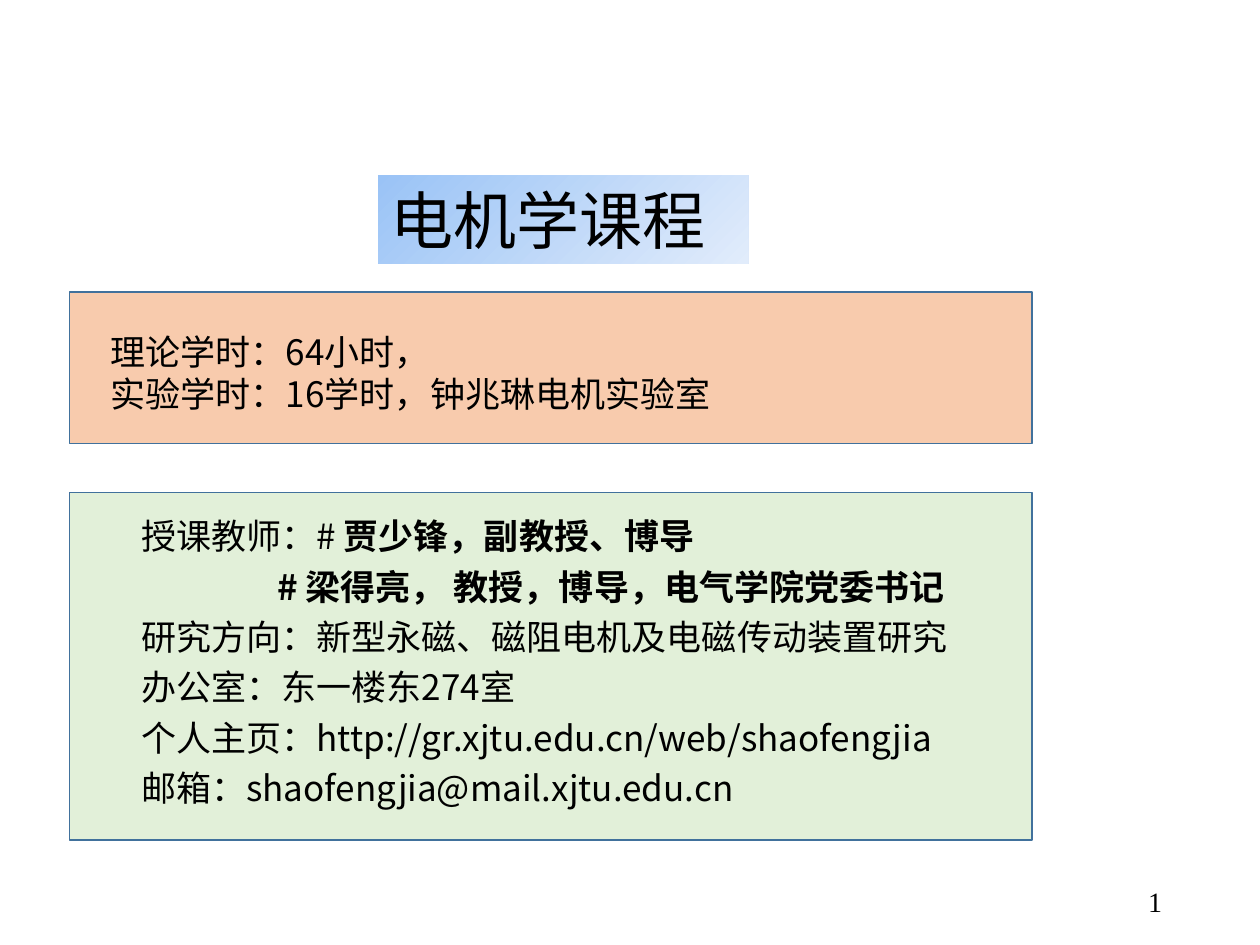
import pptx
import pptx.util
import pptx.dml.color
import pptx.enum.shapes
import pptx.enum.text
import lxml.etree
from pptx.oxml.ns import qn
from pptx.util import Cm

SANS = "Noto Sans CJK SC"


def color(value):
    return pptx.dml.color.RGBColor.from_string(value)


def write(para, text, size=20, font=SANS, bold=False, align="LEFT", spacing=1.0, indent=0):
    properties = para._p.get_or_add_pPr()
    properties.set("marL", str(Cm(indent)))
    properties.set("indent", "0")
    if properties.find(qn("a:buNone")) is None:
        lxml.etree.SubElement(properties, qn("a:buNone"))
    para.alignment = getattr(pptx.enum.text.PP_ALIGN, align)
    para.line_spacing = spacing
    para.space_before = pptx.util.Pt(0)
    span = para.add_run()
    span.text = text
    span.font.size = pptx.util.Pt(size)
    span.font.name = font
    span.font.bold = bold
    span.font.color.rgb = color("000000")
    east_asian = lxml.etree.SubElement(span._r.get_or_add_rPr(), qn("a:ea"))
    east_asian.set("typeface", font)


deck = pptx.Presentation()
deck.slide_width = Cm(25.4)
deck.slide_height = Cm(19.05)
page = deck.slides.add_slide(deck.slide_layouts[1])
title = page.shapes.title
body = page.placeholders[1]

for top, height, fill in [(9.93, 7.01, "E2F0D9"), (5.89, 3.05, "F8CBAD")]:
    panel = page.shapes.add_shape(
        pptx.enum.shapes.MSO_SHAPE.RECTANGLE, Cm(1.4), Cm(top), Cm(19.41), Cm(height))
    panel.shadow.inherit = False
    panel.fill.solid()
    panel.fill.fore_color.rgb = color(fill)
    panel.line.color.rgb = color("41719C")
    panel.line.width = pptx.util.Pt(1)

hours = page.shapes.add_textbox(0, 0, 0, 0)
number = page.shapes.add_textbox(0, 0, 0, 0)
for box, left, top, width, height, anchor in [
    (title, 7.62, 3.53, 7.47, 1.78, "TOP"),
    (hours, 1.98, 6.53, 12.95, 1.96, "TOP"),
    (body, 2.59, 10.08, 20.62, 6.35, "TOP"),
    (number, 17.96, 17.65, 5.72, 1.02, "MIDDLE"),
]:
    box.left, box.top, box.width, box.height = Cm(left), Cm(top), Cm(width), Cm(height)
    box.text_frame.word_wrap = True
    box.text_frame.auto_size = pptx.enum.text.MSO_AUTO_SIZE.NONE
    box.text_frame.vertical_anchor = getattr(pptx.enum.text.MSO_ANCHOR, anchor)
    page.shapes._spTree.append(box._element)

title.fill.gradient()
title.fill.gradient_angle = 315
for stop, position, shade in zip(title.fill.gradient_stops, (0, 1), ("9AC3F6", "E1ECFB")):
    stop.position = position
    stop.color.rgb = color(shade)
write(title.text_frame.paragraphs[0], "电机学课程", size=36)

write(hours.text_frame.paragraphs[0], "理论学时：64小时，")
write(hours.text_frame.add_paragraph(), "实验学时：16学时，钟兆琳电机实验室")

teacher = body.text_frame.paragraphs[0]
write(teacher, "授课教师：# ", spacing=1.2)
write(teacher, "贾少锋，副教授、博导", bold=True, spacing=1.2)
write(body.text_frame.add_paragraph(), "# 梁得亮， 教授，博导，电气学院党委书记",
      bold=True, spacing=1.2, indent=2.74)
for text in [
    "研究方向：新型永磁、磁阻电机及电磁传动装置研究",
    "办公室：东一楼东274室",
    "个人主页：http://gr.xjtu.edu.cn/web/shaofengjia",
    "邮箱：shaofengjia@mail.xjtu.edu.cn",
]:
    write(body.text_frame.add_paragraph(), text, spacing=1.2)

write(number.text_frame.paragraphs[0], "1", size=16, font="Times New Roman", align="RIGHT")

deck.save("out.pptx")
